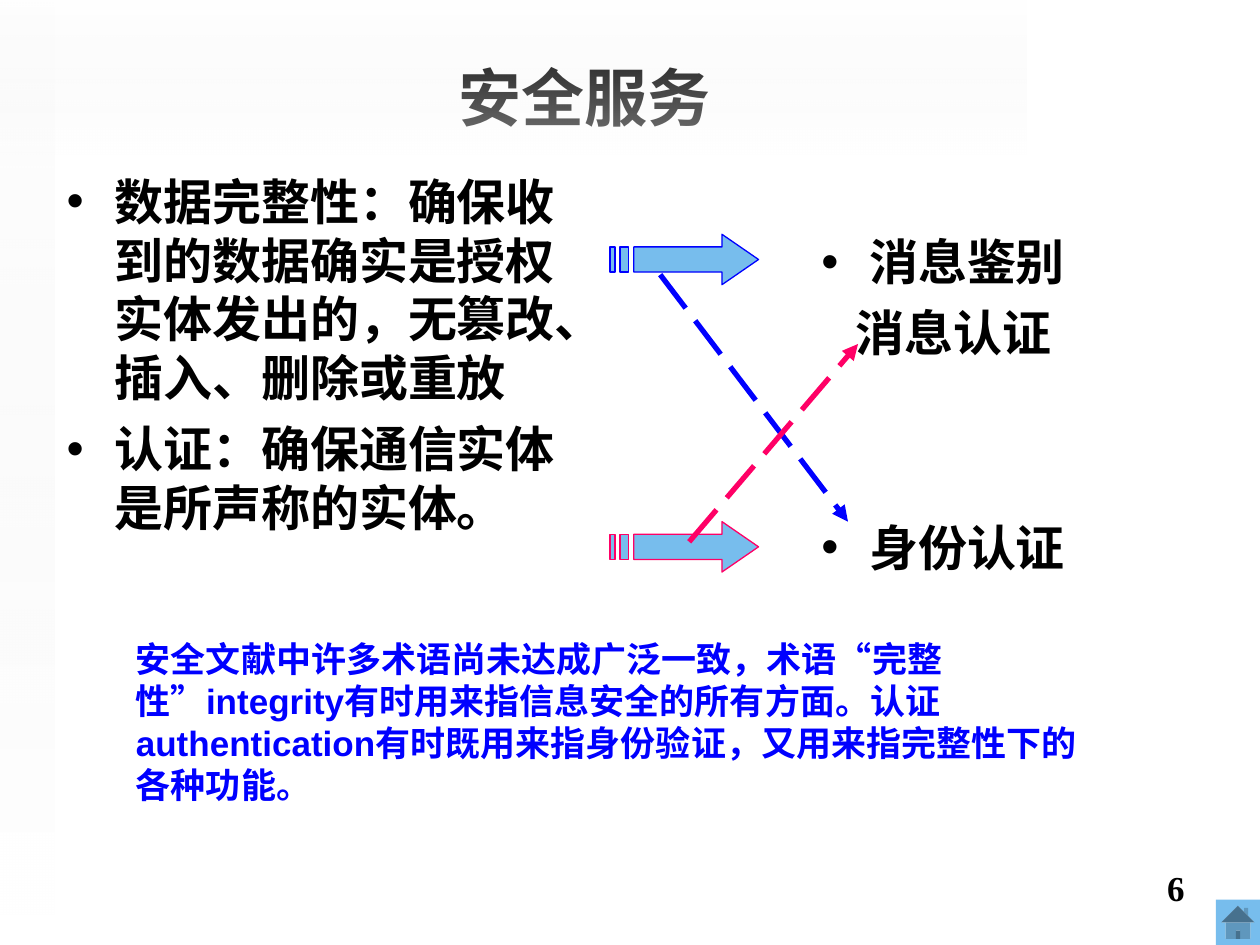
from lxml import etree
from pptx import Presentation, util as u
from pptx.dml.color import RGBColor
from pptx.enum import dml, shapes, text
from pptx.oxml.ns import qn

BLACK = RGBColor(0, 0, 0)
BLUE = RGBColor(0, 0, 0xFF)
PINK = RGBColor(0xFF, 0, 0x66)
SKY = RGBColor(0x77, 0xBD, 0xED)
GREY = RGBColor(0xEA, 0xEA, 0xEA)
WHITE = RGBColor(0xFF, 0xFF, 0xFF)

TITLE = "安全服务"
SERVICES = [
    ("数据完整性：确保收到的数据确实是授权实体发出的，无篡改、插入、删除或重放", True, 0, 0.38),
    ("认证：确保通信实体是所声称的实体。", True, 7, 0.38),
]
MECHANISMS = [
    ("消息鉴别", True, 0, 0.38),
    ("消息认证", False, 7, 0.27),
    ("身份认证", True, 89, 0.38),
]
REMARK = [(
    "安全文献中许多术语尚未达成广泛一致，术语“完整性”integrity有时用来指信息安全的所有方面。"
    "认证authentication有时既用来指身份验证，又用来指完整性下的各种功能。", False, 0, 0)]
PAGE = [("6", False, 0, 0)]

BANDS = [
    ((3.46, -3.46, 1.23, 8.15), 90, 0, 49),
    ((0, 0, 0.43, 7.26), 180, 90, 65),
]
ARROWS = [(1.86, BLUE), (4.14, PINK)]
ARROW_LEFT = 4.84
ARROW_PARTS = [
    [(0.19, 0.1), (0.89, 0.1), (0.89, 0), (1.18, 0.2), (0.89, 0.4), (0.89, 0.3), (0.19, 0.3)],
    [(0, 0.1), (0.04, 0.1), (0.04, 0.3), (0, 0.3)],
    [(0.08, 0.1), (0.15, 0.1), (0.15, 0.3), (0.08, 0.3)],
]
CROSS_LINKS = [((5.24, 2.18), (6.73, 4.14), BLUE), ((5.47, 4.3), (6.81, 2.73), PINK)]


def inches(values):
    return [u.Inches(value) for value in values]


def add_run(paragraph, words, size, color, font="Arial"):
    run = paragraph.add_run()
    run.text = words
    run.font.size = u.Pt(size)
    run.font.bold = True
    run.font.name = font
    run.font.color.rgb = color


def add_text(slide, box, items, size, color=BLACK, font="Arial", align=text.PP_ALIGN.LEFT):
    frame = slide.shapes.add_textbox(*inches(box)).text_frame
    frame.word_wrap = True
    for index, (words, bullet, before, indent) in enumerate(items):
        paragraph = frame.add_paragraph() if index else frame.paragraphs[0]
        properties = paragraph._p.get_or_add_pPr()
        if indent:
            properties.set("marL", str(u.Inches(indent)))
        if bullet:
            properties.set("indent", str(-u.Inches(indent)))
            etree.SubElement(properties, qn("a:buFont"), typeface="Arial")
            etree.SubElement(properties, qn("a:buChar"), char="•")
        paragraph.alignment = align
        paragraph.space_before = u.Pt(before)
        add_run(paragraph, words, size, color, font)


def add_band(slide, box, rotation, angle, opacity):
    band = slide.shapes.add_shape(shapes.MSO_SHAPE.RECTANGLE, *inches(box))
    band.rotation = rotation
    band.shadow.inherit = False
    band.line.fill.background()
    band.fill.gradient()
    band.fill.gradient_angle = angle
    for stop, color, alpha in zip(band.fill.gradient_stops, (GREY, WHITE), (0, opacity)):
        stop.color.rgb = color
    for tint, alpha in zip(band._element.spPr.iter(qn("a:srgbClr")), (0, opacity)):
        etree.SubElement(tint, qn("a:alpha"), val=str(alpha * 1000))


def add_striped_arrow(slide, top, color):
    outline = None
    for first, *rest in ARROW_PARTS:
        if outline is None:
            outline = slide.shapes.build_freeform(*inches(first), scale=1.0)
        else:
            outline.move_to(*inches(first))
        outline.add_line_segments([inches(point) for point in rest], close=True)
    arrow = outline.convert_to_shape(u.Inches(ARROW_LEFT), u.Inches(top))
    arrow.shadow.inherit = False
    arrow.fill.solid()
    arrow.fill.fore_color.rgb = SKY
    arrow.line.color.rgb = color
    arrow.line.width = u.Pt(0.75)


def add_cross_link(slide, start, end, color):
    link = slide.shapes.add_connector(shapes.MSO_CONNECTOR.STRAIGHT, *inches(start + end))
    link.line.color.rgb = color
    link.line.width = u.Pt(3)
    link.line.dash_style = dml.MSO_LINE.LONG_DASH
    etree.SubElement(link.line._get_or_add_ln(), qn("a:tailEnd"), type="triangle")
    etree.SubElement(link._element.spPr, qn("a:effectLst"))


def main():
    deck = Presentation()
    deck.slide_width, deck.slide_height = inches((10, 7.5))
    slide = deck.slides.add_slide(deck.slide_layouts[5])

    for band in BANDS:
        add_band(slide, *band)

    home = slide.shapes.add_shape(
        shapes.MSO_SHAPE.ACTION_BUTTON_HOME, *inches((9.65, 7.14, 0.35, 0.36)))
    home.shadow.inherit = False
    home.fill.solid()
    home.fill.fore_color.rgb = SKY
    home.line.fill.background()

    title = slide.shapes.title
    title.left, title.top, title.width, title.height = inches((0.27, 0.28, 8.74, 0.97))
    title.text_frame.vertical_anchor = text.MSO_ANCHOR.MIDDLE
    heading = title.text_frame.paragraphs[0]
    heading.alignment = text.PP_ALIGN.CENTER
    add_run(heading, TITLE, 36, BLACK)

    add_text(slide, (0.43, 1.31, 4.25, 5.35), SERVICES, 28)
    add_text(slide, (6.42, 1.79, 2.68, 4.79), MECHANISMS, 28)
    for arrow in ARROWS:
        add_striped_arrow(slide, *arrow)
    add_text(slide, (0.98, 5.01, 7.88, 1.44), REMARK, 20, BLUE)
    for link in CROSS_LINKS:
        add_cross_link(slide, *link)
    add_text(slide, (7.17, 6.83, 2.33, 0.52), PAGE, 20,
             font="Times New Roman", align=text.PP_ALIGN.RIGHT)

    deck.save("out.pptx")


if __name__ == "__main__":
    main()
